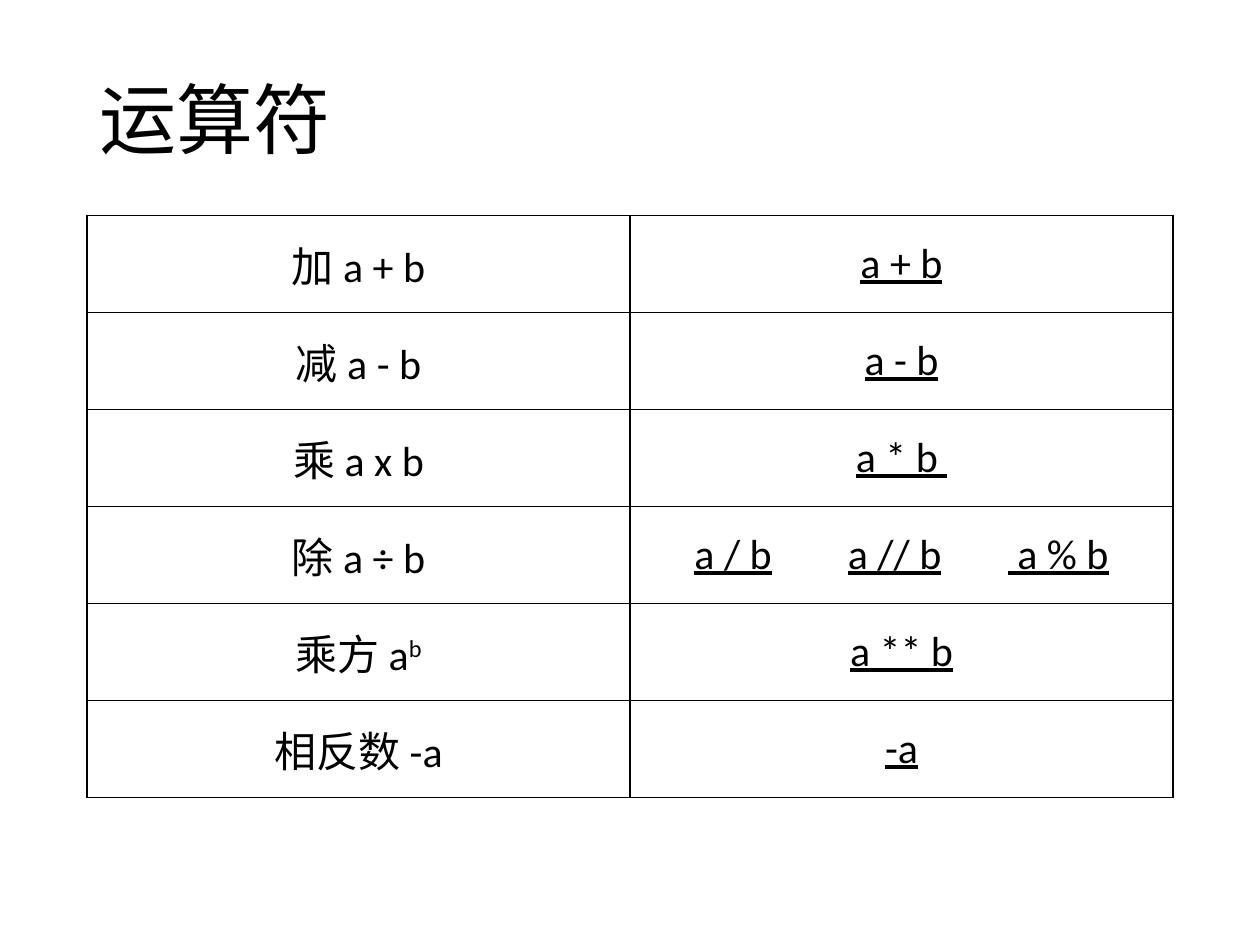
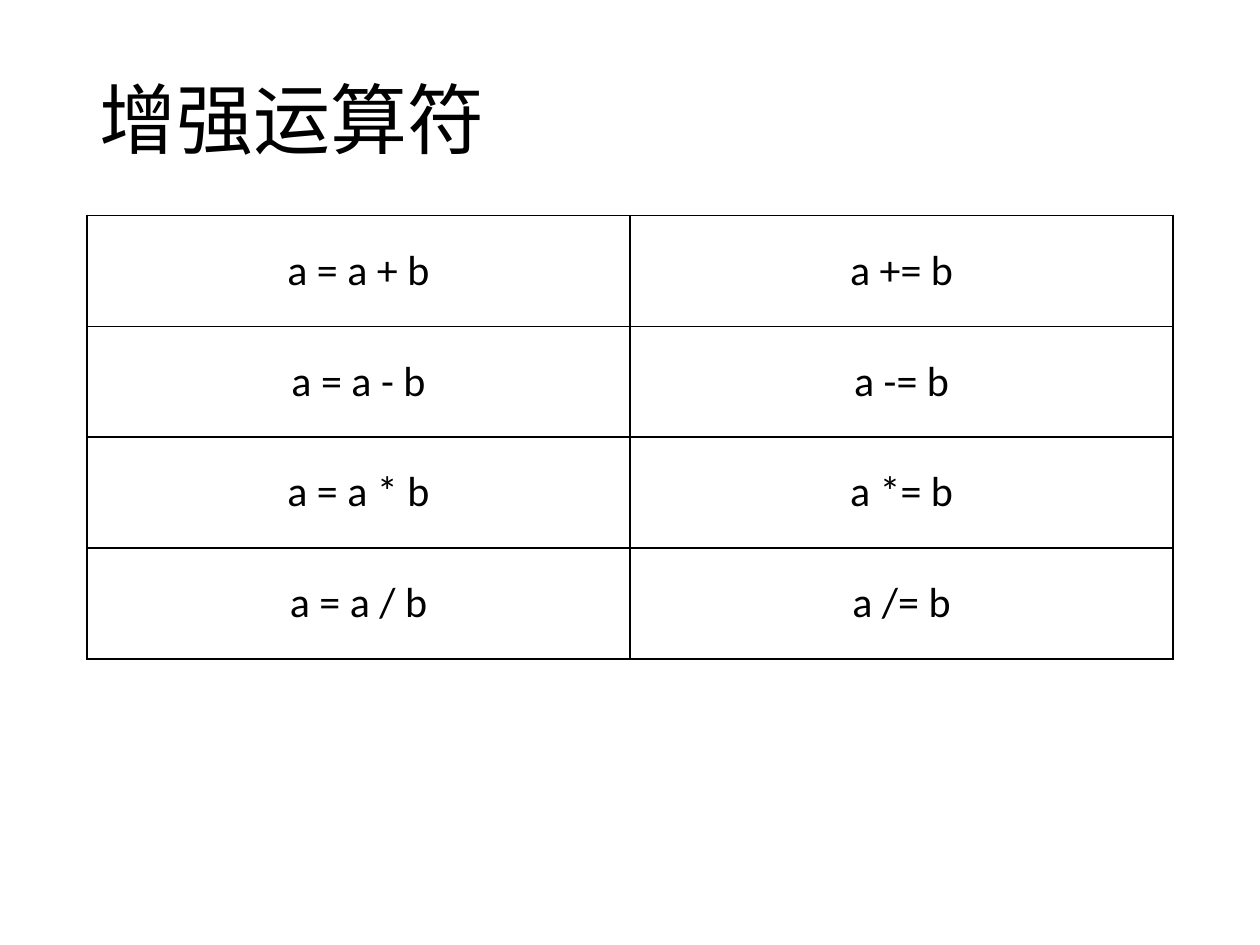
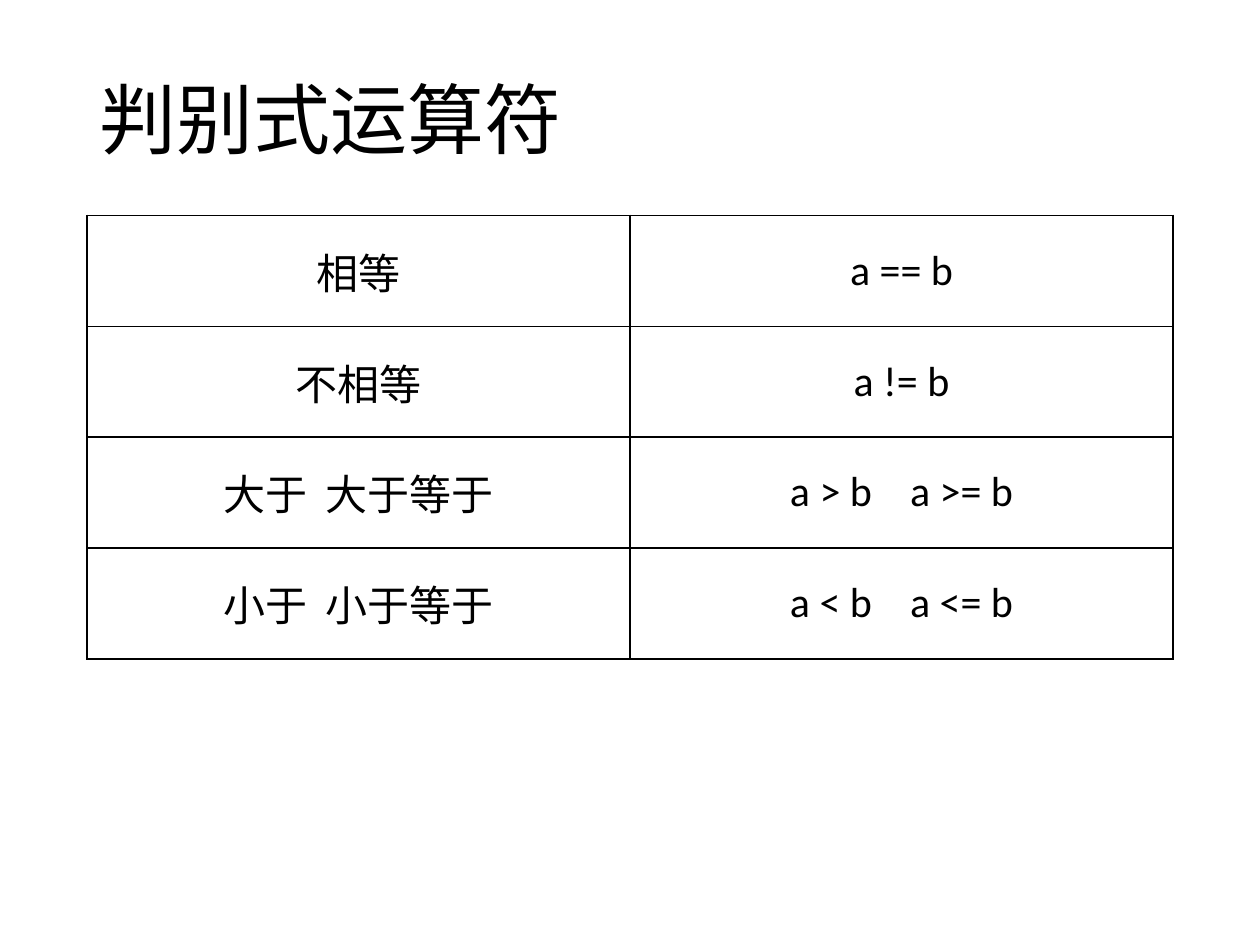
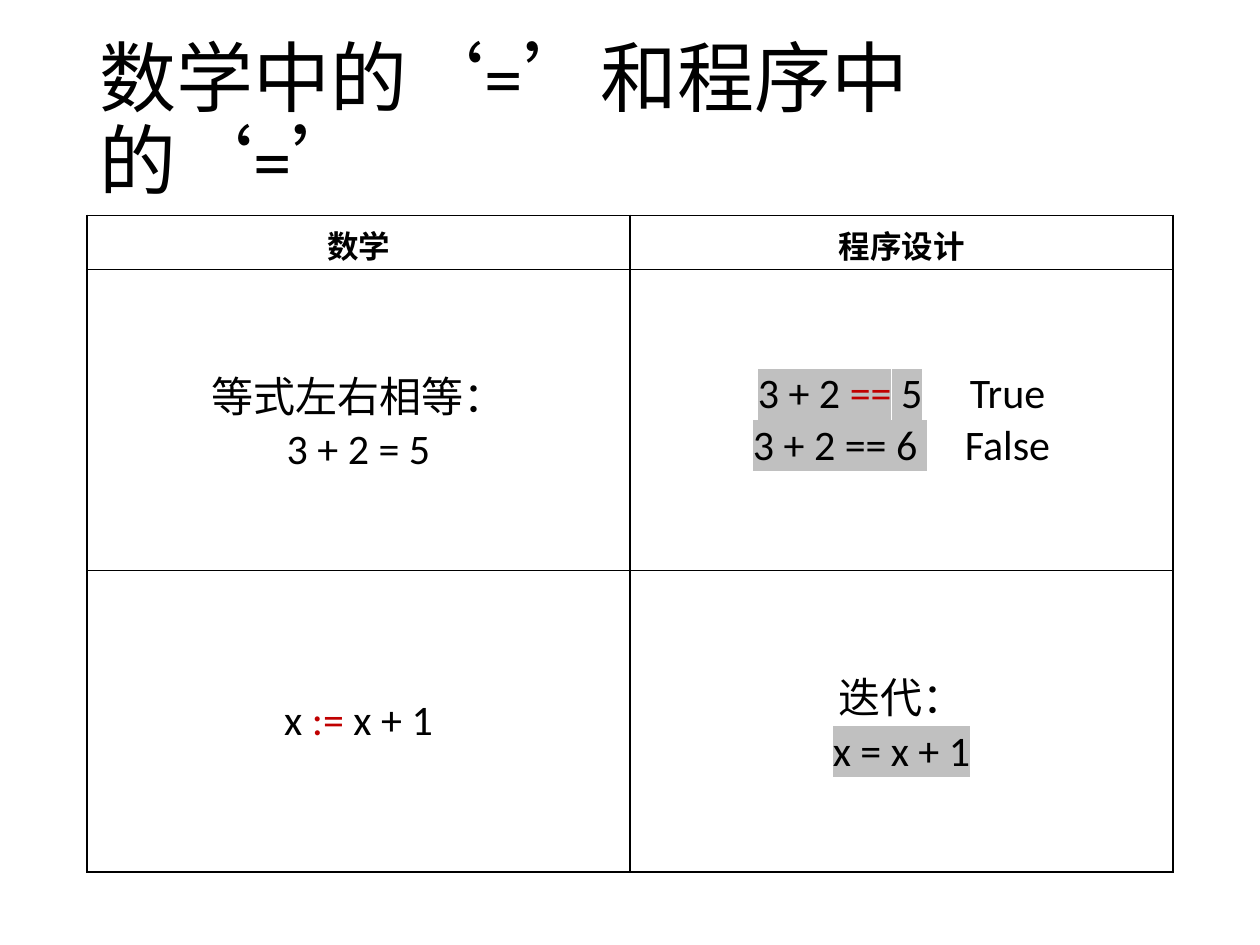
"""Build four slides of tables that compare mathematical and programming operators."""
from lxml import etree
from pptx import Presentation
from pptx.dml.color import RGBColor
from pptx.enum import text
from pptx.oxml import ns
from pptx.util import Inches, Pt

BLACK = RGBColor(0x00, 0x00, 0x00)
RED = RGBColor(0xC0, 0x00, 0x00)
GREY = RGBColor(0xC0, 0xC0, 0xC0)
FONT = "Calibri"
TITLE_SIZE, HEADER_SIZE, BODY_SIZE = 44, 18, 24
SPACE_WIDTH = 5.43
LEFT, WIDTH = 0.69, 8.62
TITLE_TOP, TITLE_HEIGHT, TABLE_TOP = 0.4, 1.16, 1.71

UNDERLINE = {"underline": True}
CODE = {"highlight": GREY}
RED_CODE = {"highlight": GREY, "color": RED}
HEADER = {"size": HEADER_SIZE, "bold": True}


def gap(spaces):
    """Return a run of one space stretched to the width of several."""
    return " ", {"tracking": (spaces - 1) * SPACE_WIDTH}


def underlined(content):
    """Return a cell of one underlined run."""
    return [[(content, UNDERLINE)]]


def plain(content):
    """Return a cell of one plain run."""
    return [[(content, {})]]


def pair(first, second, spaces):
    """Return a cell of two plain runs with a gap between them."""
    return [[(first, {}), gap(spaces), (second, {})]]


SLIDES = [
    {"title": "运算符", "heights": [0.77] * 6, "rows": [
        (plain("加 a + b"), underlined("a + b")),
        (plain("减 a - b"), underlined("a - b")),
        (plain("乘 a x b"), underlined("a * b ")),
        (plain("除 a ÷ b"), [[("a / b", UNDERLINE), gap(8), ("a // b", UNDERLINE),
                             gap(7), (" a % b", UNDERLINE)]]),
        ([[("乘方 a", {}), ("b", {"baseline": 30})]], underlined("a ** b")),
        (plain("相反数 -a"), underlined("-a")),
    ]},
    {"title": "增强运算符", "heights": [0.88] * 4, "rows": [
        (plain(f"a = a {sign} b"), plain(f"a {sign}= b")) for sign in "+-*/"
    ]},
    {"title": "判别式运算符", "heights": [0.88] * 4, "rows": [
        (plain("相等"), plain("a == b")),
        (plain("不相等"), plain("a != b")),
        (pair("大于", "大于等于", 2), pair("a > b", "a >= b", 4)),
        (pair("小于", "小于等于", 2), pair("a < b", "a <= b", 4)),
    ]},
    {"title": "数学中的‘=’和程序中的‘=’", "heights": [0.43, 2.39, 2.39], "header": True, "rows": [
        ([[("数学", HEADER)]], [[("程序设计", HEADER)]]),
        ([[("等式左右相等：", {})], [("3 + 2 = 5", {})]],
         [[("3 + 2 ", CODE), ("==", RED_CODE), (" 5", CODE), gap(5), ("True", {})],
          [("3 + 2 == 6 ", CODE), gap(4), ("False", {})]]),
        ([[("x ", {}), (":=", {"color": RED}), (" x + 1", {})]],
         [[("迭代：", {})], [("x = x + 1", CODE)]]),
    ]},
]


def add_fill(parent, tag, color):
    """Append a colour element such as a highlight or a solid fill."""
    element = etree.SubElement(parent, ns.qn(tag))
    etree.SubElement(element, ns.qn("a:srgbClr"), val=str(color))
    return element


def format_run(run, size=BODY_SIZE, color=BLACK, bold=False, underline=False,
               highlight=None, baseline=0, tracking=0):
    """Apply the font and the optional effects to a run."""
    font = run.font
    font.size, font.bold, font.underline = Pt(size), bold, underline
    font.color.rgb = color
    properties = run._r.get_or_add_rPr()
    if highlight is not None:
        add_fill(properties, "a:highlight", highlight)
    if baseline:
        properties.set("baseline", str(baseline * 1000))
    if tracking:
        properties.set("spc", str(round(tracking * 100)))
    font.name = FONT


def add_borders(cell):
    """Draw a one-point line on every side of a cell."""
    properties = cell._tc.get_or_add_tcPr()
    for position, side in enumerate(("a:lnL", "a:lnR", "a:lnT", "a:lnB")):
        line = etree.Element(ns.qn(side), w=str(Pt(1)))
        add_fill(line, "a:solidFill", BLACK)
        properties.insert(position, line)


def fill_cell(cell, paragraphs, anchor):
    """Write the paragraphs of a cell and style it."""
    cell.fill.background()
    cell.vertical_anchor = anchor
    add_borders(cell)
    frame = cell.text_frame
    for index, runs in enumerate(paragraphs):
        paragraph = frame.add_paragraph() if index else frame.paragraphs[0]
        paragraph.alignment = text.PP_ALIGN.CENTER
        for content, style in runs:
            run = paragraph.add_run()
            run.text = content
            format_run(run, **style)


def add_title(slide, title):
    """Add the title above the table."""
    shape = slide.shapes.add_textbox(
        Inches(LEFT), Inches(TITLE_TOP), Inches(WIDTH), Inches(TITLE_HEIGHT))
    frame = shape.text_frame
    frame.word_wrap = True
    frame.vertical_anchor = text.MSO_ANCHOR.MIDDLE
    frame.text = title
    paragraph = frame.paragraphs[0]
    paragraph.line_spacing = 0.9
    format_run(paragraph.runs[0], size=TITLE_SIZE)


def add_grid(slide, rows, heights, header=False):
    """Add the two-column table."""
    table = slide.shapes.add_table(
        len(rows), 2, Inches(LEFT), Inches(TABLE_TOP), Inches(WIDTH), Inches(sum(heights))).table
    table.first_row = header
    table.horz_banding = False
    for column in table.columns:
        column.width = Inches(WIDTH / 2)
    for row_index, (cells, height) in enumerate(zip(rows, heights)):
        table.rows[row_index].height = Inches(height)
        is_header = header and row_index == 0
        anchor = text.MSO_ANCHOR.TOP if is_header else text.MSO_ANCHOR.MIDDLE
        for column_index, paragraphs in enumerate(cells):
            fill_cell(table.cell(row_index, column_index), paragraphs, anchor)


presentation = Presentation()
presentation.slide_width, presentation.slide_height = Inches(10), Inches(7.5)
for content in SLIDES:
    slide = presentation.slides.add_slide(presentation.slide_layouts[6])
    add_title(slide, content["title"])
    add_grid(slide, content["rows"], content["heights"], content.get("header", False))
presentation.save("out.pptx")
